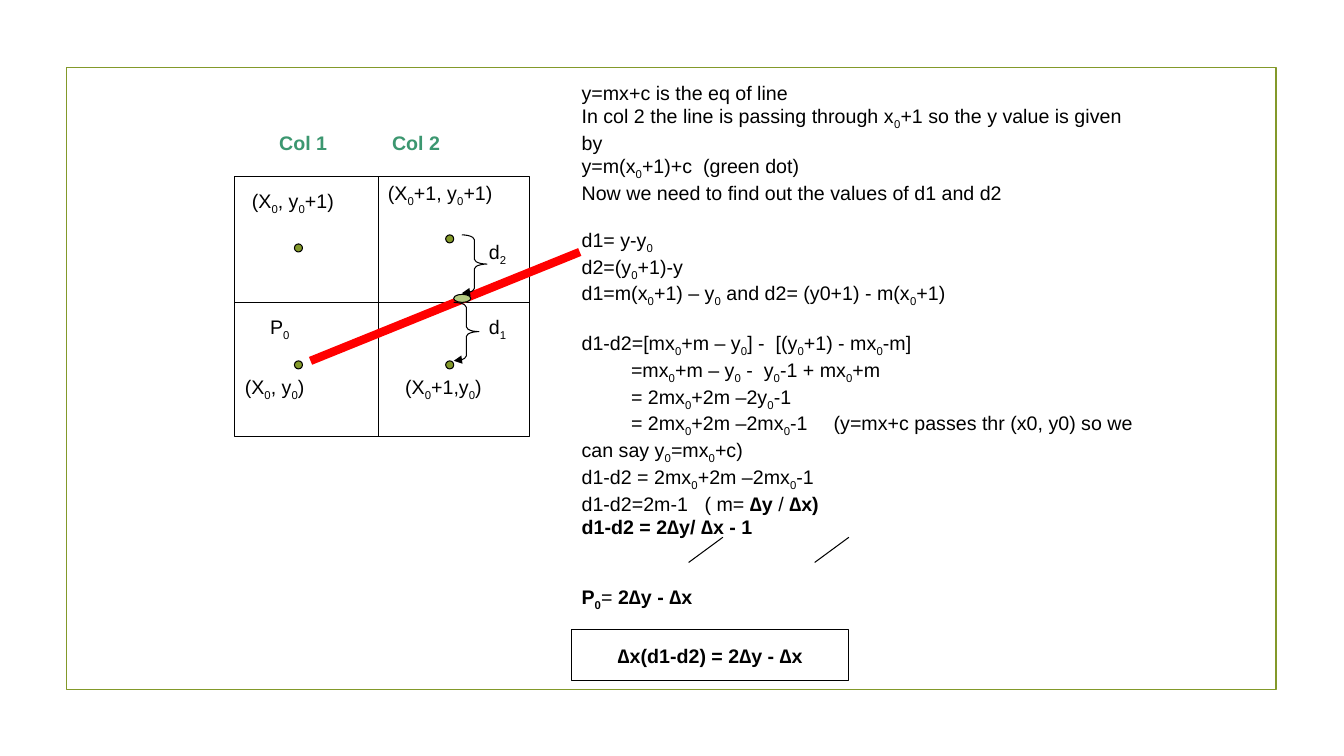
from dataclasses import dataclass

from lxml.etree import SubElement
from pptx import Presentation
from pptx.dml.color import RGBColor as Color
from pptx.enum.shapes import MSO_CONNECTOR as Connector, MSO_SHAPE as Shape
from pptx.enum.text import MSO_ANCHOR as Anchor, PP_ALIGN as Align
from pptx.oxml.ns import qn
from pptx.util import Inches, Pt


@dataclass(frozen=True)
class Theme:
    font: str = "Arial"
    size: int = 14
    ink: str = "000000"
    paper: str = "FFFFFF"
    olive: str = "83992A"
    light_green: str = "B4CA80"
    heading: str = "3C9770"
    red: str = "FF0000"
    thin: float = 0.75
    frame: float = 1.25
    thick: float = 6
    blank_line: float = 16.5


class SlideBuilder:
    def __init__(self, page, theme):
        self.page = page
        self.theme = theme

    def shape(self, kind, at, fill=None, line=None, width=None):
        box = self.page.shapes.add_shape(kind, *map(Inches, at))
        box.shadow.inherit = False
        if fill:
            box.fill.solid()
            box.fill.fore_color.rgb = Color.from_string(fill)
        else:
            box.fill.background()
        self.stroke(box.line, line, width)
        return box

    def stroke(self, line, color=None, width=None):
        line.color.rgb = Color.from_string(color or self.theme.ink)
        line.width = Pt(width or self.theme.thin)

    def line(self, start, end, color=None, width=None):
        ends = map(Inches, (*start, *end))
        line = self.page.shapes.add_connector(Connector.STRAIGHT, *ends)
        self.stroke(line.line, color, width)
        SubElement(line._element.spPr, qn("a:effectLst"))

    def dot(self, left, top):
        self.shape(Shape.OVAL, (left, top, 0.08, 0.08), self.theme.olive)

    def brace(self, left, top):
        brace = self.shape(Shape.RIGHT_BRACE, (left, top, 0.25, 0.58))
        brace.adjustments[0] = 0.194
        outline = brace._element.spPr.find(qn("a:ln"))
        SubElement(outline, qn("a:tailEnd"), type="triangle")

    def text(self, at, lines, color=None, wrap=False):
        box = self.page.shapes.add_textbox(*map(Inches, at))
        frame = box.text_frame
        frame.word_wrap = wrap
        for number, line in enumerate(lines):
            para = frame.add_paragraph() if number else frame.paragraphs[0]
            self.fill_para(para, line, color)
        return frame

    def fill_para(self, para, markup, color=None):
        """Asterisks switch bold; an underscore lowers the next character."""
        for number, part in enumerate(markup.split("*")):
            bold = number % 2 == 1
            first, *rest = part.split("_")
            self.span(para, first, bold, color)
            for piece in rest:
                self.span(para, piece[0], bold, color, lowered=True)
                self.span(para, piece[1:], bold, color)

    def span(self, para, words, bold, color, lowered=False):
        if not words:
            return
        span = para.add_run()
        span.text = words
        span.font.name = self.theme.font
        span.font.size = Pt(self.theme.size)
        span.font.bold = bold
        span.font.color.rgb = Color.from_string(color or self.theme.ink)
        if lowered:
            span.font._element.set("baseline", "-25000")

    def indent(self, para, distance):
        props = para._p.get_or_add_pPr()
        props.set("marL", "0")
        props.set("indent", str(Inches(distance)))

    def tab_stop(self, para, distance):
        stops = SubElement(para._p.get_or_add_pPr(), qn("a:tabLst"))
        SubElement(stops, qn("a:tab"), pos=str(Inches(distance)), algn="l")


DERIVATION = [
    "y=mx+c is the eq of line",
    "In col 2 the line is passing through x_0+1 so the y value is given by",
    "y=m(x_0+1)+c  (green dot)",
    "Now we need to find out the values of d1 and d2",
    "d1= y-y_0",
    "d2=(y_0+1)-y",
    "d1=m(x_0+1) – y_0 and d2= (y0+1) - m(x_0+1)",
    "d1-d2=[mx_0+m – y_0] -  [(y_0+1) - mx_0-m]",
    "=mx_0+m – y_0 -  y_0-1 + mx_0+m",
    "= 2mx_0+2m –2y_0-1",
    "= 2mx_0+2m –2mx_0-1\t(y=mx+c passes thr (x0, y0) so we can say y_0=mx_0+c)",
    "d1-d2 = 2mx_0+2m –2mx_0-1",
    "d1-d2=2m-1\t( m= *∆y* / *∆x)*",
    "*d1-d2 = 2∆y/ ∆x - 1*",
    "*P_0*= *2∆y - ∆x*",
]
BLANKS_BEFORE = {4: 1, 7: 1, 14: 2}
TAB_STOPS = {10: 2.46, 12: 1.22}

LABELS = [
    (2.33, 3.67, 0.82, "(X_0, y_0)"),
    (2.40, 1.83, 1.04, "(X_0, y_0+1)"),
    (3.75, 1.75, 1.26, "(X_0+1, y_0+1)"),
    (3.92, 3.67, 0.99, "(X_0+1,y_0)"),
    (2.58, 3.08, 0.41, "P_0"),
    (4.75, 3.08, 0.38, "d_1"),
    (4.75, 2.33, 0.38, "d_2"),
]


def main():
    deck = Presentation()
    deck.slide_width, deck.slide_height = Inches(13.33), Inches(7.5)
    theme = Theme()
    slide = SlideBuilder(deck.slides.add_slide(deck.slide_layouts[6]), theme)

    # Frame and pixel grid
    slide.shape(Shape.RECTANGLE, (0.66, 0.67, 12, 6.17), None, theme.olive, theme.frame)
    slide.shape(Shape.RECTANGLE, (2.33, 1.75, 2.92, 2.58), theme.paper)
    slide.line((3.75, 1.75), (3.75, 4.33))
    slide.line((2.33, 3), (5.25, 3))

    # Line through the grid, pixel centres and distances
    slide.line((3.08, 3.58), (5.75, 2.5), theme.red, theme.thick)
    for left, top in [(4.42, 3.58), (4.42, 2.33), (2.92, 3.58), (2.92, 2.42)]:
        slide.dot(left, top)
    slide.brace(4.5, 3)
    slide.brace(4.58, 2.33)
    slide.shape(Shape.OVAL, (4.5, 2.92, 0.17, 0.08), theme.light_green)

    # Labels and column headings
    for left, top, width, label in LABELS:
        slide.text((left, top, width, 0.34), [label])
    for left, heading in [(2.67, "*Col 1*"), (3.79, "*Col 2*")]:
        slide.text((left, 1.25, 0.68, 0.34), [heading], theme.heading)

    # Derivation
    frame = slide.text((5.67, 0.75, 5.75, 5.28), DERIVATION, wrap=True)
    for number, para in enumerate(frame.paragraphs):
        if number in BLANKS_BEFORE:
            para.space_before = Pt(BLANKS_BEFORE[number] * theme.blank_line)
        if DERIVATION[number].startswith("="):
            slide.indent(para, 0.49)
        if number in TAB_STOPS:
            slide.tab_stop(para, TAB_STOPS[number])

    # Strokes and boxed result
    for right in (7.17, 8.42):
        slide.line((right, 5.33), (right - 0.34, 5.58))
    result = slide.shape(Shape.RECTANGLE, (5.67, 6.25, 2.75, 0.5), theme.paper)
    result.text_frame.word_wrap = False
    result.text_frame.vertical_anchor = Anchor.MIDDLE
    para = result.text_frame.paragraphs[0]
    para.alignment = Align.CENTER
    slide.fill_para(para, "*∆x(d1-d2) = 2∆y - ∆x*")

    deck.save("out.pptx")


if __name__ == "__main__":
    main()
